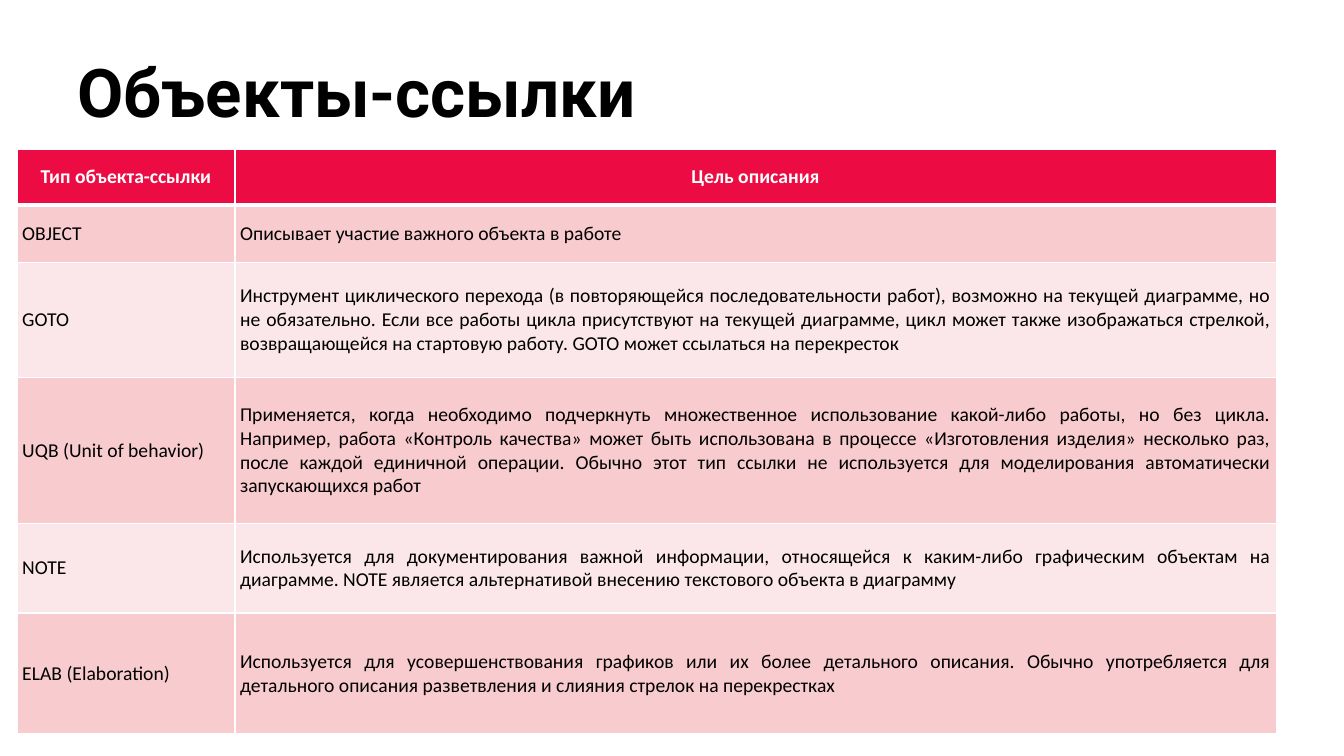
from lxml import etree
from pptx import Presentation
from pptx import util as u
from pptx.dml import color
from pptx.enum import text
from pptx.oxml import ns

WHITE, BLACK, RED = "FFFFFF", "000000", "EC0B43"
BANDS = ("F8CCCF", "FBE7E9")
WIDTHS = (5.49, 26.24)
HEIGHTS = (1.4, 1.45, 2.9, 3.68, 2.26, 3.05)
ROWS = (
    ("Тип объекта-ссылки", "Цель описания"),
    ("OBJECT", "Описывает участие важного объекта в работе"),
    ("GOTO",
     "Инструмент циклического перехода (в повторяющейся последовательности "
     "работ), возможно на текущей диаграмме, но не обязательно. Если все "
     "работы цикла присутствуют на текущей диаграмме, цикл может также "
     "изображаться стрелкой, возвращающейся на стартовую работу. GOTO может "
     "ссылаться на перекресток"),
    ("UQB (Unit of behavior)",
     "Применяется, когда необходимо подчеркнуть множественное использование "
     "какой-либо работы, но без цикла. Например, работа «Контроль качества» "
     "может быть использована в процессе «Изготовления изделия» несколько "
     "раз, после каждой единичной операции. Обычно этот тип ссылки не "
     "используется для моделирования автоматически запускающихся работ"),
    ("NOTE",
     "Используется для документирования важной информации, относящейся к "
     "каким-либо графическим объектам на диаграмме. NOTE является "
     "альтернативой внесению текстового объекта в диаграмму"),
    ("ELAB (Elaboration)",
     "Используется для усовершенствования графиков или их более детального "
     "описания. Обычно употребляется для детального описания разветвления и "
     "слияния стрелок на перекрестках"),
)


def rgb(code):
    return color.RGBColor.from_string(code)


def style(par, face, size, code, bold, align):
    font = par.font
    font.name, font.size, font.bold = face, u.Pt(size), bold
    font.color.rgb = rgb(code)
    par.alignment = align


def add_title(slide, words):
    box = slide.shapes.add_textbox(u.Cm(1.7), u.Cm(1.14), u.Cm(30.48), u.Cm(2.29))
    frame = box.text_frame
    frame.word_wrap = True
    frame.vertical_anchor = text.MSO_ANCHOR.MIDDLE
    frame.text = words
    style(frame.paragraphs[0], "Roboto", 48, BLACK, True, text.PP_ALIGN.LEFT)


def add_edges(cell, base):
    props = cell._tc.get_or_add_tcPr()
    for side, width in (("L", 1), ("R", 1), ("T", 1), ("B", base)):
        line = etree.SubElement(props, ns.qn(f"a:ln{side}"), w=str(u.Pt(width)))
        fill = etree.SubElement(line, ns.qn("a:solidFill"))
        etree.SubElement(fill, ns.qn("a:srgbClr"), val=WHITE)


def fill_cell(cell, words, head, back):
    cell.text = words
    cell.vertical_anchor = text.MSO_ANCHOR.MIDDLE
    cell.margin_left = cell.margin_right = u.Cm(0.13)
    cell.margin_top = cell.margin_bottom = u.Cm(0.13)
    add_edges(cell, 3 if head else 1)
    cell.fill.solid()
    cell.fill.fore_color.rgb = rgb(back)
    align = text.PP_ALIGN.CENTER if head else text.PP_ALIGN.JUSTIFY
    style(cell.text_frame.paragraphs[0], "Calibri", 14,
          WHITE if head else BLACK, head, align)


def add_grid(slide):
    grid = slide.shapes.add_table(
        len(ROWS), len(WIDTHS), u.Cm(0.43), u.Cm(3.76),
        u.Cm(sum(WIDTHS)), u.Cm(sum(HEIGHTS))).table
    for col, width in zip(grid.columns, WIDTHS):
        col.width = u.Cm(width)
    for i, (row, height) in enumerate(zip(grid.rows, HEIGHTS)):
        row.height = u.Cm(height)
        head = i == 0
        back = RED if head else BANDS[(i - 1) % 2]
        for cell, words in zip(row.cells, ROWS[i]):
            fill_cell(cell, words, head, back)


def main():
    deck = Presentation()
    deck.slide_width, deck.slide_height = u.Cm(33.87), u.Cm(19.05)
    slide = deck.slides.add_slide(deck.slide_layouts[6])
    add_title(slide, "Объекты-ссылки")
    add_grid(slide)
    deck.save("out.pptx")


if __name__ == "__main__":
    main()
